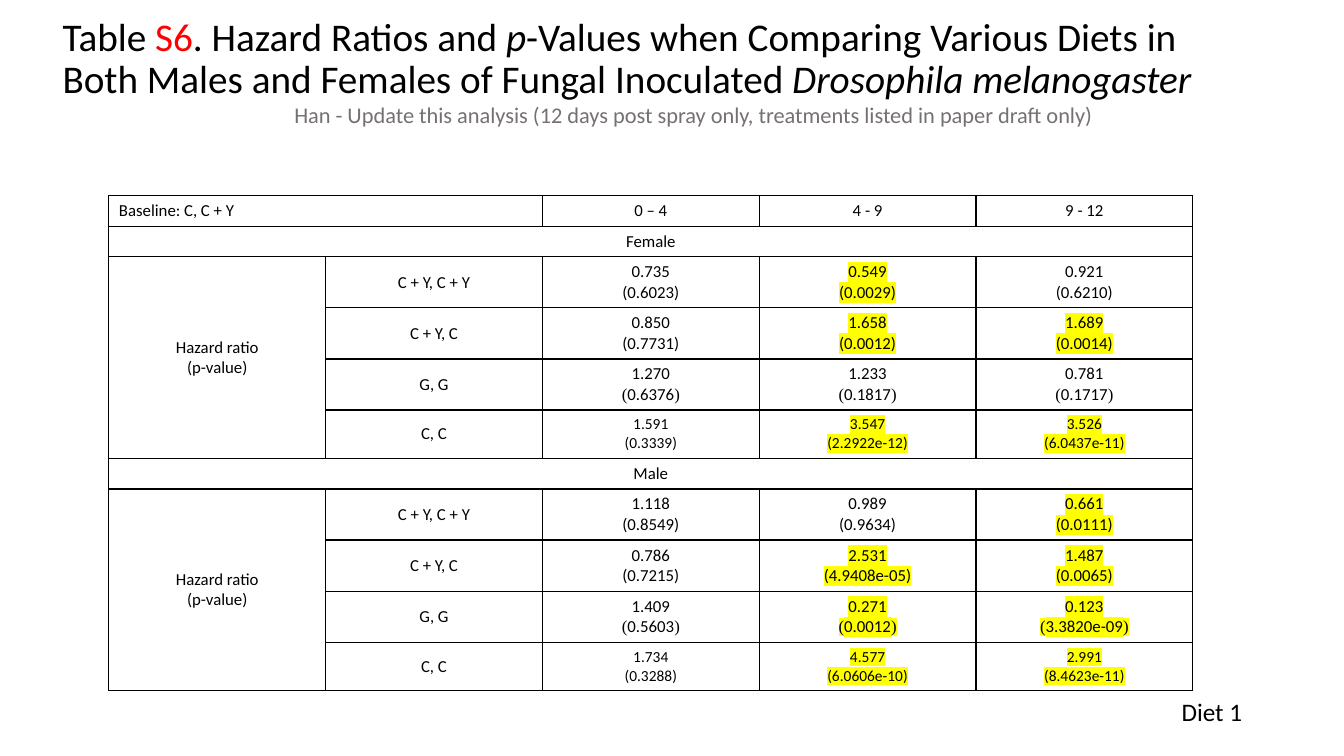
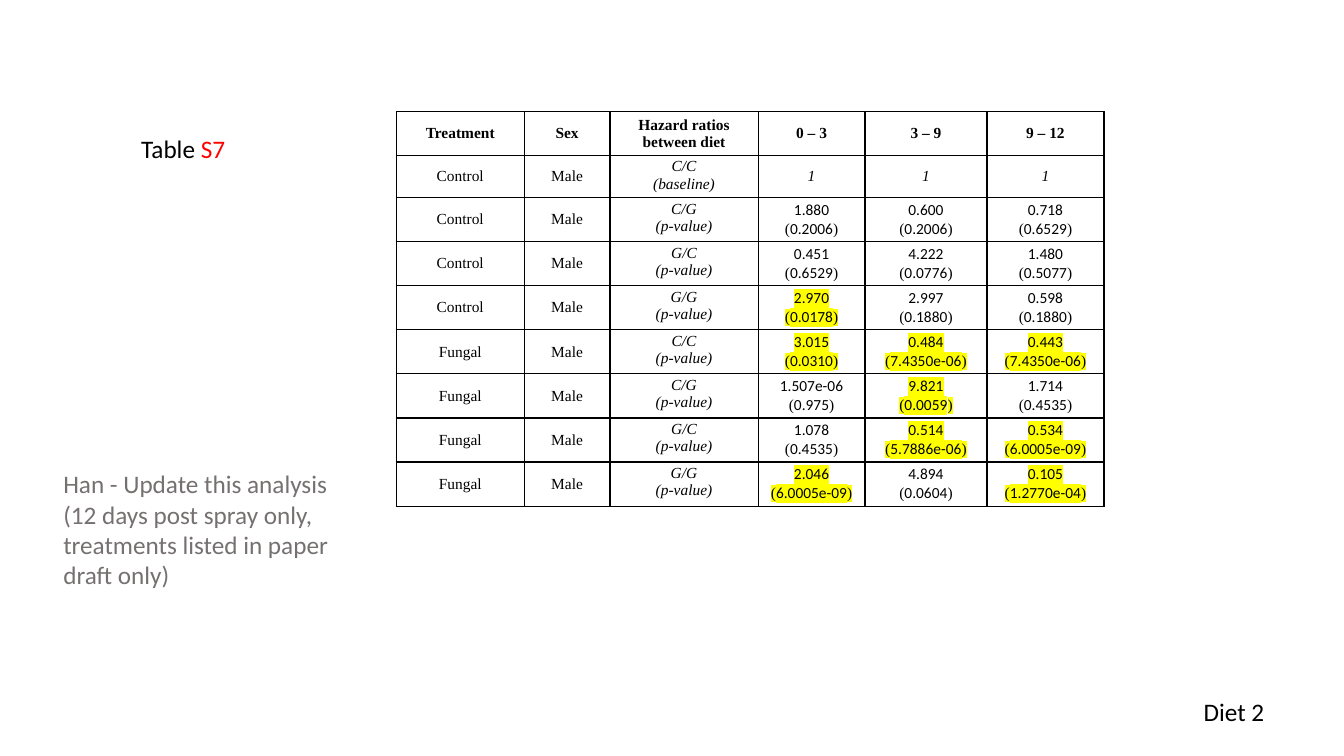
from lxml.etree import SubElement
from pptx import Presentation
from pptx.dml.color import RGBColor
from pptx.enum.text import MSO_ANCHOR as Anchor, MSO_AUTO_SIZE as AutoSize, PP_ALIGN as Align
from pptx.oxml import parse_xml
from pptx.oxml.ns import qn
from pptx.util import Inches, Pt

BLACK, RED, GREY, YELLOW = "000000", "FF0000", "767171", "FFFF00"
SANS, SERIF = "Calibri", "Times New Roman"
DRAWING_NS = "http://schemas.openxmlformats.org/drawingml/2006/main"
SIGNIFICANCE = 0.05
TITLE_ONLY = 5

REMINDER = "Han - Update this analysis (12 days post spray only, treatments listed in paper draft only)"
ITALIC = {"italic": True}

S6_TITLE = [
    ("Table ", {}), ("S6", {"color": RED}), (". Hazard Ratios and ", {}), ("p", ITALIC),
    ("-Values when Comparing Various Diets in Both Males and Females of Fungal Inoculated ", {}),
    ("Drosophila melanogaster", ITALIC),
]
S6_PERIODS = ["0 – 4", "4 - 9", "9 - 12"]
S6_GROUPS = {
    "Female": [
        ("C + Y, C + Y", [("0.735", "0.6023"), ("0.549", "0.0029"), ("0.921", "0.6210")]),
        ("C + Y, C", [("0.850", "0.7731"), ("1.658", "0.0012"), ("1.689", "0.0014")]),
        ("G, G", [("1.270", "0.6376"), ("1.233", "0.1817"), ("0.781", "0.1717")]),
        ("C, C", [("1.591", "0.3339"), ("3.547", "2.2922e-12"), ("3.526", "6.0437e-11")]),
    ],
    "Male": [
        ("C + Y, C + Y", [("1.118", "0.8549"), ("0.989", "0.9634"), ("0.661", "0.0111")]),
        ("C + Y, C", [("0.786", "0.7215"), ("2.531", "4.9408e-05"), ("1.487", "0.0065")]),
        ("G, G", [("1.409", "0.5603"), ("0.271", "0.0012"), ("0.123", "3.3820e-09")]),
        ("C, C", [("1.734", "0.3288"), ("4.577", "6.0606e-10"), ("2.991", "8.4623e-11")]),
    ],
}
S6_DIET_FORMATS = {"G, G": {"bracket_font": SERIF}, "C, C": {"size": 11}}
S6_ROW_HEIGHTS = [0.3] + [0.3, 0.5, 0.5, 0.5, 0.48] * 2

S7_TITLE = [("Table ", {}), ("S7", {"color": RED})]
S7_HEADER = ["Treatment", "Sex", "Hazard ratios between diet", "0 – 3", "3 – 9", "9 – 12"]
S7_BASELINE = ("Control", "C/C")
S7_ROWS = [
    ("Control", "C/G", [("1.880", "0.2006"), ("0.600", "0.2006"), ("0.718", "0.6529")]),
    ("Control", "G/C", [("0.451", "0.6529"), ("4.222", "0.0776"), ("1.480", "0.5077")]),
    ("Control", "G/G", [("2.970", "0.0178"), ("2.997", "0.1880"), ("0.598", "0.1880")]),
    ("Fungal", "C/C", [("3.015", "0.0310"), ("0.484", "7.4350e-06"), ("0.443", "7.4350e-06")]),
    ("Fungal", "C/G", [("1.507e-06", "0.975"), ("9.821", "0.0059"), ("1.714", "0.4535")]),
    ("Fungal", "G/C", [("1.078", "0.4535"), ("0.514", "5.7886e-06"), ("0.534", "6.0005e-09")]),
    ("Fungal", "G/G", [("2.046", "6.0005e-09"), ("4.894", "0.0604"), ("0.105", "1.2770e-04")]),
]
S7_COLUMNS = [1.27, 0.85, 1.47, 1.06, 1.21, 1.16]
S7_ROW_HEIGHTS = [0.43, 0.42] + [0.43] * len(S7_ROWS)


def rgb(hex_color):
    return RGBColor.from_string(hex_color)


def add_runs(paragraph, runs, **base):
    """Add (text, format) runs, each format overriding the base format."""
    for text, changes in runs:
        style = {"name": SANS, "size": 12, "color": BLACK} | base | changes
        run = paragraph.add_run()
        run.text = text
        run.font.color.rgb = rgb(style.pop("color"))
        run.font.size = Pt(style.pop("size"))
        highlight = style.pop("highlight", None)
        for attribute, value in style.items():
            setattr(run.font, attribute, value)
        if highlight:
            fill = run.font._element.find(qn("a:solidFill"))
            fill.addnext(parse_xml(
                f'<a:highlight xmlns:a="{DRAWING_NS}"><a:srgbClr val="{highlight}"/></a:highlight>'))


def set_title(slide, runs, box, size, line_spacing=1.0):
    title = slide.shapes.title
    title.left, title.top, title.width, title.height = map(Inches, box)
    frame = title.text_frame
    for attribute, value in {"word_wrap": True, "auto_size": AutoSize.NONE,
                             "vertical_anchor": Anchor.TOP}.items():
        setattr(frame, attribute, value)
    paragraph = frame.paragraphs[0]
    paragraph.alignment, paragraph.line_spacing = Align.LEFT, line_spacing
    add_runs(paragraph, runs, size=size)


def add_label(slide, text, box, wrap=False, **style):
    frame = slide.shapes.add_textbox(*map(Inches, box)).text_frame
    frame.word_wrap = wrap
    add_runs(frame.paragraphs[0], [(text, {})], **style)


def add_grid(slide, left, top, columns, heights, margins):
    """Add an unfilled table with thin black borders on every cell."""
    table = slide.shapes.add_table(len(heights), len(columns), Inches(left), Inches(top),
                                   Inches(sum(columns)), Inches(sum(heights))).table
    table.first_row = table.horz_banding = False
    for column, width in zip(table.columns, columns):
        column.width = Inches(width)
    for row, height in zip(table.rows, heights):
        row.height = Inches(height)
    side, vertical = map(Inches, margins)
    for cell in table.iter_cells():
        cell.margin_left = cell.margin_right = side
        cell.margin_top = cell.margin_bottom = vertical
        properties = cell._tc.get_or_add_tcPr()
        for edge in ("lnL", "lnR", "lnT", "lnB"):
            line = SubElement(properties, qn(f"a:{edge}"), w=str(Pt(1)))
            SubElement(SubElement(line, qn("a:solidFill")), qn("a:srgbClr"), val=BLACK)
        cell.fill.background()
    return table


def fill_cell(cell, lines, anchor=Anchor.MIDDLE, align=Align.CENTER, **style):
    """Write one paragraph for each line, a line being text or a list of runs."""
    cell.vertical_anchor = anchor
    frame = cell.text_frame
    for index, line in enumerate(lines):
        paragraph = frame.add_paragraph() if index else frame.paragraphs[0]
        paragraph.alignment = align
        add_runs(paragraph, [(line, {})] if isinstance(line, str) else line, **style)


def fill_ratio(cell, ratio, p_value, bracket_font=SANS, **style):
    """Write a hazard ratio over its p-value, highlighted when significant."""
    if float(p_value) < SIGNIFICANCE:
        style["highlight"] = YELLOW
    bracket = {"name": bracket_font}
    fill_cell(cell, [ratio, [("(", bracket), (p_value, {}), (")", bracket)]], **style)


def build_s6(slide):
    set_title(slide, S6_TITLE, (0.52, 0.12, 11.5, 1), 28, 0.9)
    table = add_grid(slide, 1.08, 1.94, [2.15] * 5, S6_ROW_HEIGHTS, (0.1, 0.05))
    table.cell(0, 0).merge(table.cell(0, 1))
    fill_cell(table.cell(0, 0), ["Baseline: C, C + Y"], Anchor.BOTTOM, Align.LEFT)
    for col, period in enumerate(S6_PERIODS, 2):
        fill_cell(table.cell(0, col), [period])
    row = 1
    for sex, diets in S6_GROUPS.items():
        table.cell(row, 0).merge(table.cell(row, 4))
        fill_cell(table.cell(row, 0), [sex])
        table.cell(row + 1, 0).merge(table.cell(row + len(diets), 0))
        fill_cell(table.cell(row + 1, 0), ["Hazard ratio", "(p-value)"])
        for diet_row, (diet, ratios) in enumerate(diets, row + 1):
            fill_cell(table.cell(diet_row, 1), [diet])
            for col, pair in enumerate(ratios, 2):
                fill_ratio(table.cell(diet_row, col), *pair, **S6_DIET_FORMATS.get(diet, {}))
        row += 1 + len(diets)
    add_label(slide, REMINDER, (2.82, 0.95, 8.22, 0.37), size=16, color=GREY)
    add_label(slide, "Diet 1", (11.62, 6.86, 0.81, 0.4), size=18)


def build_s7(slide):
    set_title(slide, S7_TITLE, (1.3, 1.27, 1.2, 0.4), 18)
    table = add_grid(slide, 3.93, 1.11, S7_COLUMNS, S7_ROW_HEIGHTS, (0.05, 0.03))
    serif = {"name": SERIF, "size": 11}
    for col, heading in enumerate(S7_HEADER):
        fill_cell(table.cell(0, col), [heading], bold=True, **serif)
    for row, (treatment, diet, ratios) in enumerate([(*S7_BASELINE, None), *S7_ROWS], 1):
        fill_cell(table.cell(row, 0), [treatment], **serif)
        fill_cell(table.cell(row, 1), ["Male"], **serif)
        note = "(p-value)" if ratios else "(baseline)"
        fill_cell(table.cell(row, 2), [diet, note], Anchor.TOP, italic=True, **serif)
        for col in range(3, 6):
            if ratios:
                fill_ratio(table.cell(row, col), *ratios[col - 3], bracket_font=SERIF,
                           size=11, anchor=Anchor.TOP)
            else:
                fill_cell(table.cell(row, col), ["1"], italic=True, **serif)
    add_label(slide, REMINDER, (0.53, 4.6, 3.17, 1.31), wrap=True, size=18, color=GREY)
    add_label(slide, "Diet 2", (11.84, 6.86, 0.81, 0.4), size=18)


def main():
    deck = Presentation()
    deck.slide_width, deck.slide_height = Inches(13.33), Inches(7.5)
    for build in (build_s6, build_s7):
        build(deck.slides.add_slide(deck.slide_layouts[TITLE_ONLY]))
    deck.save("out.pptx")


if __name__ == "__main__":
    main()
